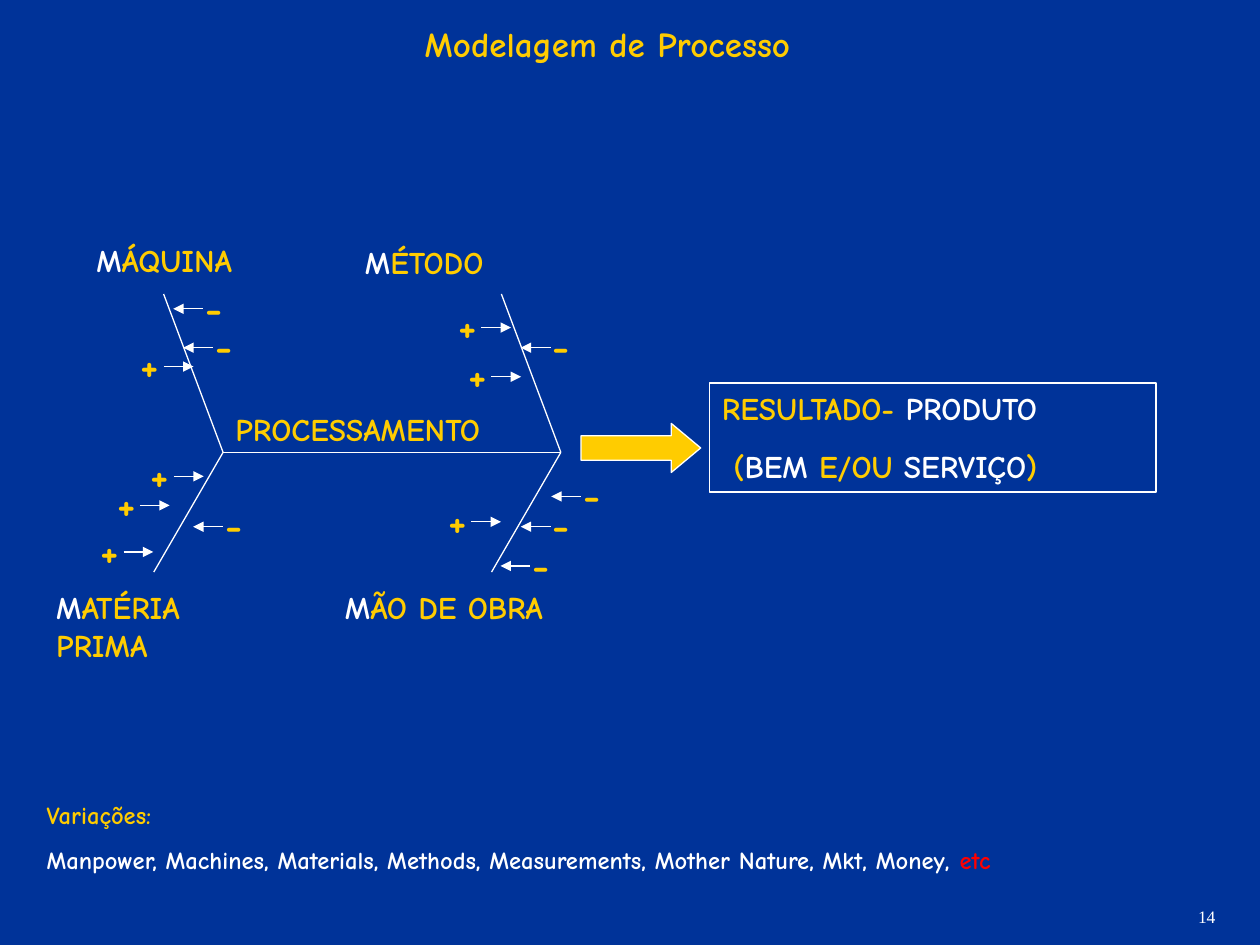
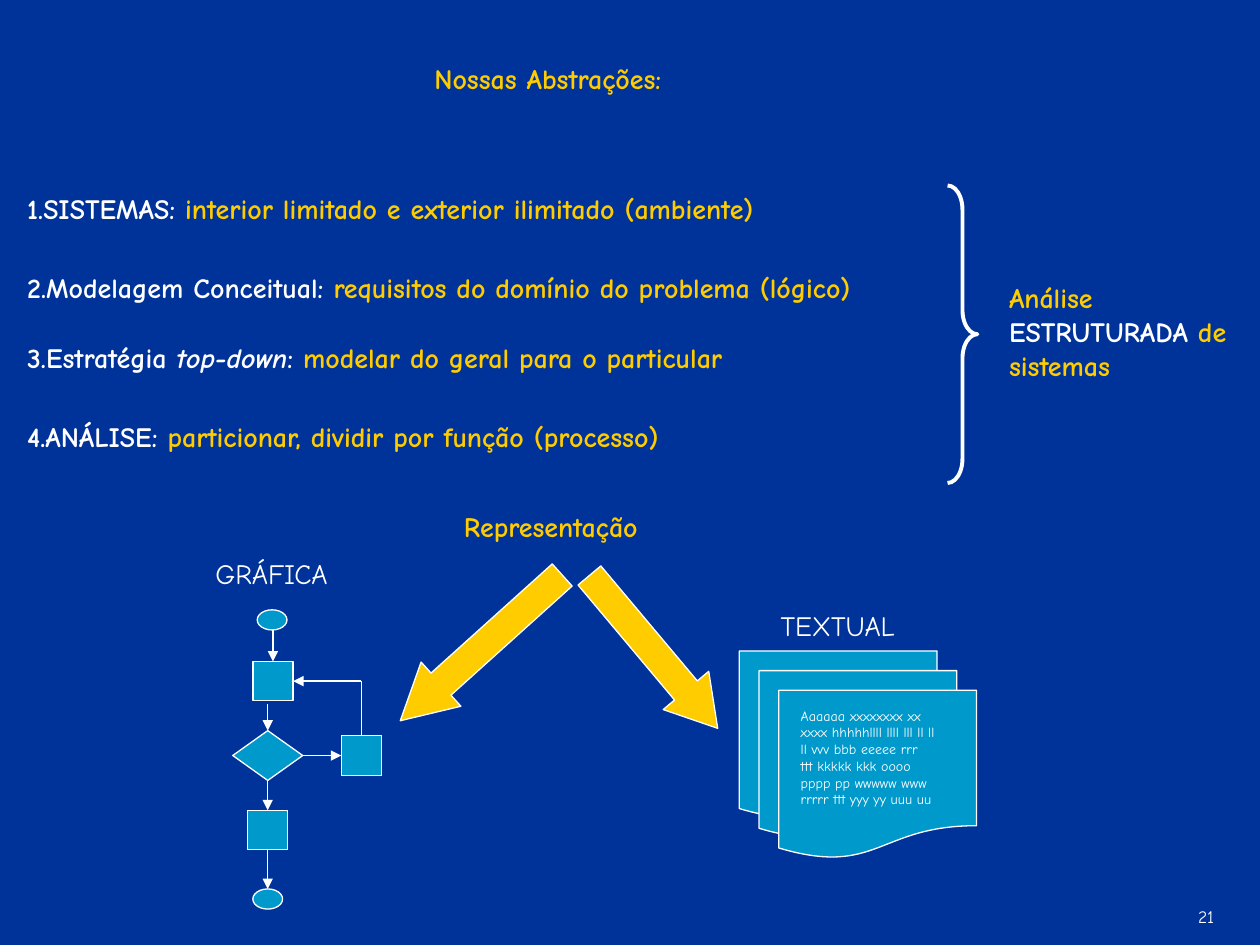
from dataclasses import dataclass
from typing import Optional, Sequence

import pptx
import pptx.dml.color
import pptx.enum.shapes
import pptx.enum.text
import pptx.oxml.ns
import pptx.presentation
import pptx.shapes.autoshape
import pptx.shapes.connector
import pptx.slide
import pptx.text.text
import pptx.util
from lxml import etree

Pt = pptx.util.Pt
SHAPE = pptx.enum.shapes.MSO_SHAPE

COLOURS = {
    "background": "003399",
    "gold": "FFCC00",
    "white": "FFFFFF",
    "red": "FF0000",
    "cyan": "0099CC",
}
FONT = "Comic Neue"
TITLE_ONLY = 5
HAIRLINE = 0.75
ARROW_LENGTH = 17


@dataclass(frozen=True)
class Span:
    text: str
    colour: str = "gold"
    italic: bool = False


@dataclass(frozen=True)
class Style:
    size: float
    bold: bool = True
    font: str = FONT
    gap: float = 0


@dataclass(frozen=True)
class Area:
    left: float
    top: float
    width: float
    height: float

    def lengths(self) -> list[pptx.util.Length]:
        return [Pt(value) for value in (self.left, self.top, self.width, self.height)]


@dataclass(frozen=True)
class Label:
    area: Area
    spans: Sequence[Span]


@dataclass(frozen=True)
class Influence:
    """A short arrow starting at x, y, with its sign beside the start."""
    sign: str
    x: float
    y: float


SIGN = Style(24)
CAUSE = Style(18, gap=11.2)
BODY = Style(16)
PLAIN = Style(16, bold=False)

Paragraphs = Sequence[Sequence[Span]]

CAUSES = [
    Label(Area(48, 134, 119, 29), [Span("M", "white"), Span("ÁQUINA")]),
    Label(Area(201.5, 135.5, 119, 29), [Span("M", "white"), Span("ÉTODO")]),
    Label(Area(25, 332.5, 119, 50), [Span("M", "white"), Span("ATÉRIA PRIMA")]),
    Label(Area(190, 332.5, 153, 29), [Span("M", "white"), Span("ÃO DE OBRA")]),
    Label(Area(127.5, 230.5, 199, 29), [Span("PROCESSAMENTO")]),
]

INFLUENCES = [
    Influence("-", 116, 176.5), Influence("-", 121.7, 198.7), Influence("+", 93.6, 209.5),
    Influence("+", 275, 187.2), Influence("-", 314.6, 198.7), Influence("+", 280.8, 215.3),
    Influence("+", 99.4, 272.2), Influence("+", 80, 288.8), Influence("-", 127.4, 301),
    Influence("+", 70.6, 315.4), Influence("-", 332, 283.7), Influence("+", 269.3, 298.2),
    Influence("-", 314.6, 301), Influence("-", 303, 323.4),
]

ABSTRACTIONS = [
    (106, [Span("1.SISTEMAS:", "white"),
           Span(" interior limitado e exterior ilimitado (ambiente)")]),
    (151, [Span("2.Modelagem Conceitual:", "white"),
           Span(" requisitos do domínio do problema (lógico)")]),
    (191, [Span("3.Estratégia ", "white"), Span("top-down", "white", True), Span(":", "white"),
           Span(" modelar do geral para o particular")]),
    (236, [Span("4.ANÁLISE:", "white"),
           Span(" particionar, dividir por função (processo)")]),
]

SAMPLE_LINES = [
    "Aaaaaa xxxxxxxx xx", "xxxx hhhhhllll llll lll ll ll", "ll vvv bbb eeeee rrr",
    "ttt kkkkk kkk oooo", "pppp pp wwwww www", "rrrrr ttt yyy yy uuu uu",
]


def rgb(name: str) -> pptx.dml.color.RGBColor:
    return pptx.dml.color.RGBColor.from_string(COLOURS[name])


def write(frame: pptx.text.text.TextFrame, paragraphs: Paragraphs, style: Style) -> None:
    frame.word_wrap = True
    frame.auto_size = pptx.enum.text.MSO_AUTO_SIZE.NONE
    frame.vertical_anchor = pptx.enum.text.MSO_ANCHOR.TOP
    for index, spans in enumerate(paragraphs):
        para = frame.add_paragraph() if index else frame.paragraphs[0]
        para.alignment = pptx.enum.text.PP_ALIGN.LEFT
        para.space_before = Pt(style.gap if index else 0)
        for span in spans:
            run = para.add_run()
            run.text = span.text
            run.font.name = style.font
            run.font.size = Pt(style.size)
            run.font.bold = style.bold
            run.font.italic = span.italic
            run.font.color.rgb = rgb(span.colour)


def add_text(page: pptx.slide.Slide, area: Area, paragraphs: Paragraphs, style: Style) -> None:
    box = page.shapes.add_textbox(*area.lengths())
    write(box.text_frame, paragraphs, style)


def add_figure(page: pptx.slide.Slide, kind: SHAPE, area: Area, fill: Optional[str] = None,
               line: float = HAIRLINE, rotation: float = 0,
               adjustments: Sequence[float] = ()) -> pptx.shapes.autoshape.Shape:
    """Draw a white-outlined preset shape, hollow unless a fill is given."""
    figure = page.shapes.add_shape(kind, *area.lengths())
    figure.shadow.inherit = False
    figure.rotation = rotation
    for index, value in enumerate(adjustments):
        figure.adjustments[index] = value
    if fill:
        figure.fill.solid()
        figure.fill.fore_color.rgb = rgb(fill)
    else:
        figure.fill.background()
    figure.line.color.rgb = rgb("white")
    figure.line.width = Pt(line)
    return figure


def add_line(page: pptx.slide.Slide, x1: float, y1: float, x2: float, y2: float,
             arrow: bool = True) -> pptx.shapes.connector.Connector:
    line = page.shapes.add_connector(
        pptx.enum.shapes.MSO_CONNECTOR.STRAIGHT, Pt(x1), Pt(y1), Pt(x2), Pt(y2))
    line.line.color.rgb = rgb("white")
    line.line.width = Pt(HAIRLINE)
    qn = pptx.oxml.ns.qn
    if arrow:
        etree.SubElement(line.line._get_or_add_ln(), qn("a:tailEnd"), type="triangle")
    etree.SubElement(line._element.spPr, qn("a:effectLst"))
    return line


def add_page(deck: pptx.presentation.Presentation, title: str, area: Area, style: Style,
             number: str, number_font: str) -> pptx.slide.Slide:
    page = deck.slides.add_slide(deck.slide_layouts[TITLE_ONLY])
    heading = page.shapes.title
    heading.left, heading.top, heading.width, heading.height = area.lengths()
    write(heading.text_frame, [[Span(title)]], style)
    add_text(page, Area(677.5, 514, 34, 19.5), [[Span(number, "white")]],
             Style(10, bold=False, font=number_font))
    return page


def add_influence(page: pptx.slide.Slide, influence: Influence) -> None:
    positive = influence.sign == "+"
    reach = ARROW_LENGTH if positive else -ARROW_LENGTH
    add_line(page, influence.x, influence.y, influence.x + reach, influence.y)
    sign_left = influence.x - (20.2 if positive else 5.8)
    add_text(page, Area(sign_left, influence.y - 19.4, 28, 36), [[Span(influence.sign)]], SIGN)


def build_process_page(deck: pptx.presentation.Presentation) -> None:
    page = add_page(deck, "Modelagem de Processo", Area(235.5, 9.5, 244, 32), Style(20),
                    "14", "Times New Roman")
    spine_y, joints = 258.5, (127.5, 320.5)
    add_line(page, joints[1], spine_y, joints[0], spine_y, arrow=False)
    for joint in joints:
        for across, down in ((-34, -90.5), (-39.6, 68.4)):
            add_line(page, joint, spine_y, joint + across, spine_y + down, arrow=False)
    for influence in INFLUENCES:
        add_influence(page, influence)
    for cause in CAUSES:
        add_text(page, cause.area, [cause.spans], CAUSE)

    add_figure(page, SHAPE.RIGHT_ARROW, Area(332, 242, 68.4, 28), "gold",
               adjustments=(0.5, 0.6))
    result = add_figure(page, SHAPE.RECTANGLE, Area(405.5, 219, 255, 62), line=1)
    write(result.text_frame, [
        [Span("RESULTADO- "), Span("PRODUTO", "white")],
        [Span("("), Span("BEM ", "white"), Span("E/OU"), Span(" SERVIÇO", "white"), Span(")")],
    ], CAUSE)
    result.text_frame.paragraphs[1]._p.get_or_add_pPr().set("marL", str(Pt(6.5)))

    factors = ("Manpower, Machines, Materials, Methods, Measurements, "
               "Mother Nature, Mkt, Money, ")
    add_text(page, Area(19.5, 453.5, 686, 50),
             [[Span("Variações:")], [Span(factors, "white"), Span("etc", "red")]],
             Style(14, gap=8.8))


def add_flowchart(page: pptx.slide.Slide) -> None:
    def node(kind: SHAPE, left: float, top: float, width: float,
             height: float) -> pptx.shapes.autoshape.Shape:
        return add_figure(page, kind, Area(left, top, width, height), "cyan")

    node(SHAPE.OVAL, 147, 348.5, 17, 11.5)
    first_step = node(SHAPE.RECTANGLE, 144.5, 378, 23, 22.5)
    decision = node(SHAPE.DIAMOND, 133, 417.5, 40, 28.5)
    retry = node(SHAPE.RECTANGLE, 195, 420.5, 23, 22.5)
    last_step = node(SHAPE.RECTANGLE, 141.5, 463, 23, 22.5)
    node(SHAPE.OVAL, 144.5, 508, 17, 11.5)

    add_line(page, 156, 360, 156, 378).end_connect(first_step, 0)
    add_line(page, 153, 402.5, 153, 417.5).end_connect(decision, 0)
    to_retry = add_line(page, 173, 431.75, 195, 431.75)
    to_retry.begin_connect(decision, 3)
    to_retry.end_connect(retry, 1)
    to_last = add_line(page, 153, 446, 153, 463)
    to_last.begin_connect(decision, 2)
    to_last.end_connect(last_step, 0)
    loop_y = 389.25
    add_line(page, 206.5, 420.5, 206.5, loop_y, arrow=False).begin_connect(retry, 0)
    add_line(page, 206.5, loop_y, 167.5, loop_y).end_connect(first_step, 3)
    add_line(page, 153, 485.5, 153, 508).begin_connect(last_step, 2)


def build_abstractions_page(deck: pptx.presentation.Presentation) -> None:
    page = add_page(deck, "Nossas Abstrações:", Area(241, 31.5, 187, 27), BODY, "21", FONT)
    for top, spans in ABSTRACTIONS:
        add_text(page, Area(8.5, top, 601, 27), [spans], BODY)
    add_figure(page, SHAPE.RIGHT_BRACE, Area(541.5, 106, 17, 170), line=2.25,
               adjustments=(0.81, 0.5))
    add_text(page, Area(569.5, 157, 142, 65),
             [[Span("Análise "), Span("ESTRUTURADA ", "white"), Span("de sistemas")]], BODY)

    add_text(page, Area(258, 287.5, 148, 27), [[Span("Representação")]], BODY)
    add_figure(page, SHAPE.DOWN_ARROW, Area(258, 308, 34, 124.5), "gold", rotation=48,
               adjustments=(0.5, 0.92))
    add_figure(page, SHAPE.DOWN_ARROW, Area(356.5, 315.5, 34, 114), "gold", rotation=320,
               adjustments=(0.5, 0.83))

    add_text(page, Area(116, 314.5, 102, 27), [[Span("GRÁFICA", "white")]], PLAIN)
    add_flowchart(page)

    add_text(page, Area(439, 344, 102, 27), [[Span("TEXTUAL", "white")]], PLAIN)
    for sheet in range(3):
        shift = 11.25 * sheet
        add_figure(page, SHAPE.FLOWCHART_DOCUMENT,
                   Area(422.5 + shift, 372 + shift, 113, 96.5), "cyan")
    add_text(page, Area(450.5, 400.5, 96.5, 65),
             [[Span(line, "white")] for line in SAMPLE_LINES], Style(8, bold=False))


def main() -> None:
    deck = pptx.Presentation()
    deck.slide_width, deck.slide_height = Pt(720), Pt(540)
    backdrop = deck.slide_master.background.fill
    backdrop.solid()
    backdrop.fore_color.rgb = rgb("background")
    build_process_page(deck)
    build_abstractions_page(deck)
    deck.save("out.pptx")


if __name__ == "__main__":
    main()
